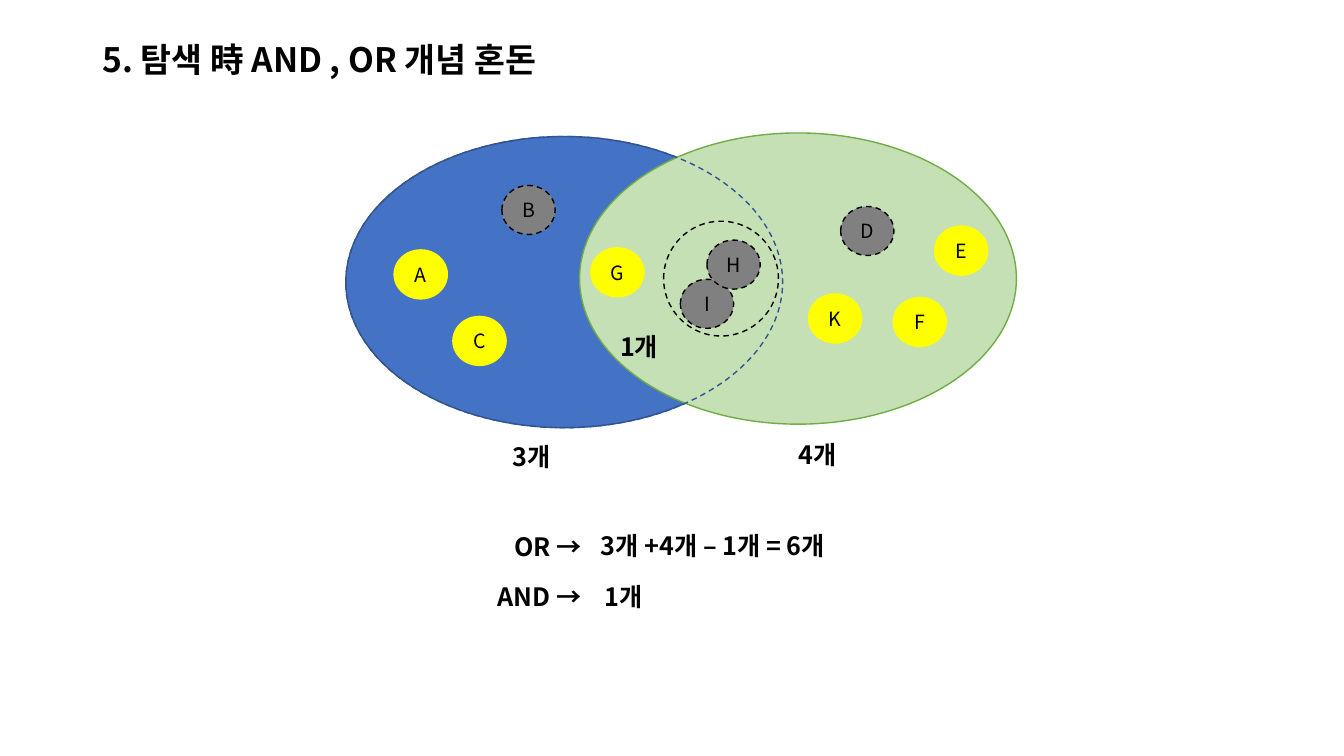
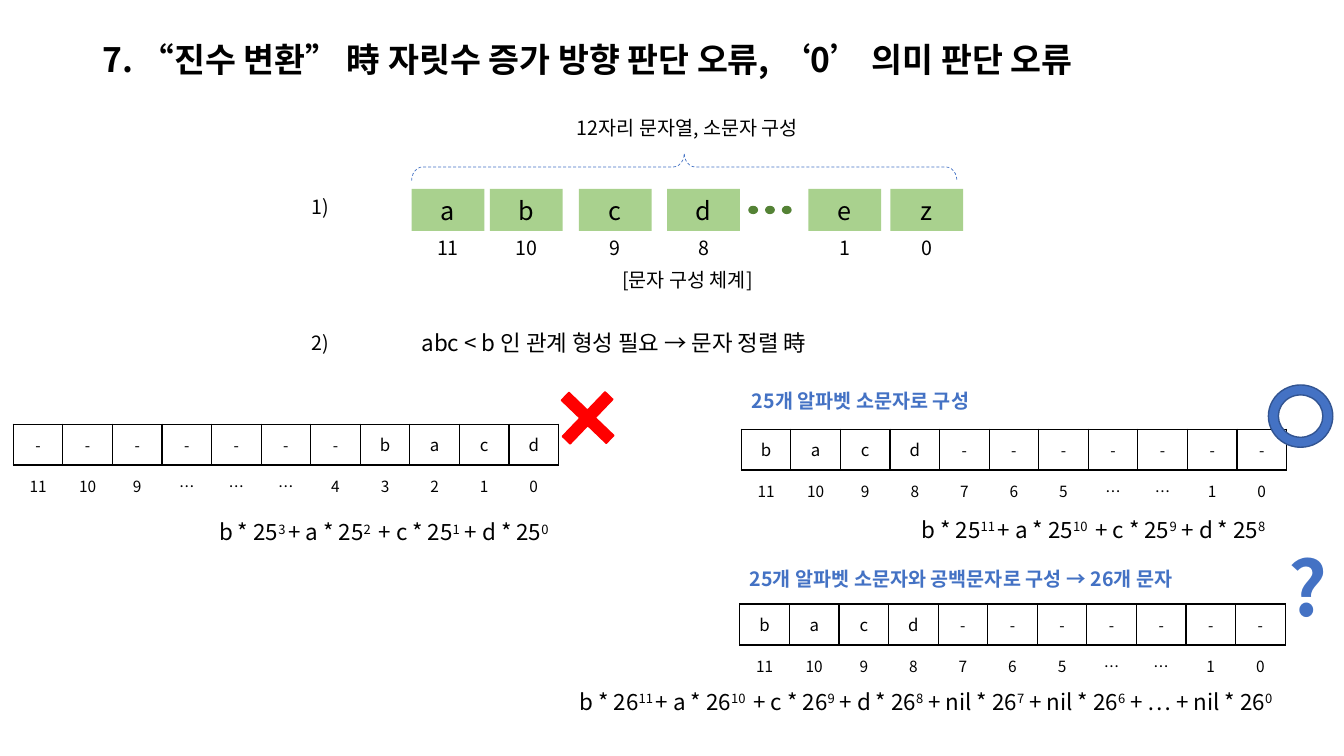
from dataclasses import dataclass
from typing import Optional

from lxml import etree
from pptx import Presentation
from pptx.dml.color import RGBColor
from pptx.enum.dml import MSO_LINE
from pptx.enum.shapes import MSO_SHAPE as SHAPE
from pptx.enum.text import MSO_ANCHOR as ANCHOR, MSO_AUTO_SIZE as AUTO, PP_ALIGN as ALIGN
from pptx.oxml.ns import qn
from pptx.util import Pt

FONT = "Noto Sans CJK KR"
BLACK = RGBColor(0x00, 0x00, 0x00)
BLUE = RGBColor(0x44, 0x72, 0xC4)
NAVY = RGBColor(0x32, 0x54, 0x91)
GREEN = RGBColor(0x70, 0xAD, 0x47)
PALE_GREEN = RGBColor(0xC5, 0xE0, 0xB4)
BOX_GREEN = RGBColor(0xA9, 0xD1, 0x8E)
DARK_GREEN = RGBColor(0x54, 0x82, 0x35)
YELLOW = RGBColor(0xFF, 0xFF, 0x00)
GRAY = RGBColor(0x80, 0x80, 0x80)
RED = RGBColor(0xFF, 0x00, 0x00)


@dataclass
class Box:
    x: float
    y: float
    w: float
    h: float

    def lengths(self) -> list:
        return [Pt(v) for v in (self.x, self.y, self.w, self.h)]


@dataclass
class Element:
    """A member of a set; found ones are yellow, the rest gray and dashed."""
    name: str
    x: float
    y: float
    found: bool = True


@dataclass
class Label:
    text: str
    box: Box
    align: ALIGN = ALIGN.LEFT
    size: float = 14
    bold: bool = False
    color: RGBColor = BLACK


@dataclass
class DigitTable:
    x: float
    y: float
    letters: str
    places: str


# Shared helpers
def write(tf, text: str, *, size: float = 14, bold: bool = False,
          color: RGBColor = BLACK, align: ALIGN = ALIGN.LEFT) -> None:
    """Write one paragraph; parts between ^ marks are superscript."""
    p = tf.paragraphs[0]
    p.alignment = align
    for i, part in enumerate(text.split("^")):
        if not part:
            continue
        r = p.add_run()
        r.text = part
        r.font.size, r.font.bold, r.font.name = Pt(size), bold, FONT
        r.font.color.rgb = color
        rpr = r._r.get_or_add_rPr()
        etree.SubElement(rpr, qn("a:ea"), typeface=FONT)
        if i % 2:
            rpr.set("baseline", "30000")


def add_label(slide, label: Label, anchor: ANCHOR = ANCHOR.MIDDLE) -> None:
    tf = slide.shapes.add_textbox(*label.box.lengths()).text_frame
    tf.word_wrap = True
    tf.vertical_anchor = anchor
    write(tf, label.text, size=label.size, bold=label.bold,
          color=label.color, align=label.align)


def add_figure(slide, kind: SHAPE, box: Box, *, fill: Optional[RGBColor] = None,
               line: Optional[RGBColor] = None, width: float = 1, dash: bool = False,
               text: str = "", size: float = 14, adj: Optional[float] = None,
               rotation: float = 0):
    sp = slide.shapes.add_shape(kind, *box.lengths())
    sp.shadow.inherit = False
    sp.rotation = rotation
    if adj is not None:
        sp.adjustments[0] = adj
    if fill is None:
        sp.fill.background()
    else:
        sp.fill.solid()
        sp.fill.fore_color.rgb = fill
    if line is None:
        sp.line.fill.background()
    else:
        sp.line.color.rgb = line
        sp.line.width = Pt(width)
        if dash:
            sp.line.dash_style = MSO_LINE.DASH
    if text:
        tf = sp.text_frame
        tf.margin_left = tf.margin_right = tf.margin_top = tf.margin_bottom = 0
        tf.vertical_anchor = ANCHOR.MIDDLE
        write(tf, text, size=size, align=ALIGN.CENTER)
    return sp


def add_titled_slide(prs, title: str):
    slide = prs.slides.add_slide(prs.slide_layouts[5])
    sp = slide.shapes.title
    sp.left, sp.top, sp.width, sp.height = Box(66, 16, 828, 56).lengths()
    tf = sp.text_frame
    tf.word_wrap, tf.auto_size, tf.vertical_anchor = True, AUTO.NONE, ANCHOR.MIDDLE
    write(tf, title, size=24, bold=True)
    tf.paragraphs[0].line_spacing = 0.9
    return slide


def set_borders(cell, sides: str) -> None:
    """Draw black lines on the given sides (L, R, T, B) and none elsewhere."""
    tcpr = cell._tc.get_or_add_tcPr()
    for side in "LRTB":
        ln = etree.SubElement(tcpr, qn(f"a:ln{side}"), w=str(Pt(1)))
        if side in sides:
            fill = etree.SubElement(ln, qn("a:solidFill"))
            etree.SubElement(fill, qn("a:srgbClr"), val=str(BLACK))
        else:
            etree.SubElement(ln, qn("a:noFill"))


def add_digit_table(slide, spec_: DigitTable) -> None:
    rows = (list(spec_.letters), spec_.places.split())
    count = len(rows[0])
    box = Box(spec_.x, spec_.y, 389.5, 58.4)
    table = slide.shapes.add_table(2, count, *box.lengths()).table
    table.first_row = table.horz_banding = False
    for column in table.columns:
        column.width = Pt(box.w / count)
    for i, values in enumerate(rows):
        table.rows[i].height = Pt(box.h / 2)
        for j, value in enumerate(values):
            cell = table.cell(i, j)
            set_borders(cell, "T" if i else "LRTB")
            cell.fill.background()
            cell.vertical_anchor = ANCHOR.MIDDLE
            write(cell.text_frame, value, size=12 if value.isalpha() else 11,
                  align=ALIGN.CENTER)


# Slide: AND / OR sets
ELEMENTS = [
    Element("A", 281.5, 178.5), Element("C", 323.5, 226), Element("B", 358.5, 132.5, False),
    Element("D", 600.5, 147.5, False), Element("F", 638, 212.5), Element("E", 667.5, 161.5),
    Element("G", 422, 177), Element("I", 486, 199.5, False),
    Element("H", 505, 171.5, False), Element("K", 577.5, 210),
]
COUNTS = [
    ("3개", Box(348.5, 312, 62.5, 29), ALIGN.CENTER),
    ("4개", Box(553, 310.5, 62.5, 29), ALIGN.CENTER),
    ("1개", Box(428.5, 233, 56, 29), ALIGN.CENTER),
    ("OR →", Box(308, 376, 114.5, 29), ALIGN.RIGHT),
    ("3개 +4개 – 1개 = 6개", Box(422, 375.5, 231, 29), ALIGN.LEFT),
    ("AND →", Box(308, 412, 114.5, 29), ALIGN.RIGHT),
    ("1개", Box(425, 412, 231, 29), ALIGN.LEFT),
]


def build_sets(prs) -> None:
    slide = add_titled_slide(prs, "5. 탐색 時 AND , OR 개념 혼돈")
    left, right = Box(247, 97.5, 312, 208), Box(414, 95, 312, 208)
    add_figure(slide, SHAPE.OVAL, left, fill=BLUE, line=NAVY)
    add_figure(slide, SHAPE.OVAL, right, fill=PALE_GREEN, line=GREEN)
    add_figure(slide, SHAPE.OVAL, left, line=NAVY, dash=True)
    for e in ELEMENTS:
        add_figure(slide, SHAPE.OVAL, Box(e.x, e.y, 38, 35), text=e.name,
                   fill=YELLOW if e.found else GRAY,
                   line=YELLOW if e.found else BLACK, dash=not e.found)
    add_figure(slide, SHAPE.OVAL, Box(474, 158, 82, 82), line=BLACK, dash=True)
    for text, box, align in COUNTS:
        add_label(slide, Label(text, box, align, 18, True), ANCHOR.TOP)


# Slide: base conversion
LETTER_BOXES = [("a", "11", 294), ("b", "10", 350), ("c", "9", 413.5),
                ("d", "8", 476.5), ("e", "1", 577.5), ("z", "0", 636)]
DOWN_PLACES = "11 10 9 8 7 6 5 … … 1 0"
DIGIT_TABLES = [
    DigitTable(529.5, 306.5, "bacd-------", DOWN_PLACES),
    DigitTable(9.5, 303, "-------bacd", "11 10 9 … … … 4 3 2 1 0"),
    DigitTable(528.5, 431.5, "bacd-------", DOWN_PLACES),
]
LABELS = [
    Label("12자리 문자열, 소문자 구성", Box(385, 81.5, 212, 20), ALIGN.CENTER),
    Label("[문자 구성 체계]", Box(385, 189.5, 212, 20), ALIGN.CENTER),
    Label("1)", Box(215.5, 137.5, 36, 20)),
    Label("2)", Box(215.5, 235, 36, 20)),
    Label("abc < b 인 관계 형성 필요 → 문자 정렬 時", Box(294, 230, 372, 30), size=16),
    Label("b * 25^3 ^+ a * 25^2 ^ + c * 25^1^ + d * 25^0 ^",
          Box(29, 365, 372, 30), ALIGN.RIGHT, 16),
    Label("b * 25^11 ^+ a * 25^10 ^ + c * 25^9^ + d * 25^8 ^",
          Box(541, 363, 372, 30), ALIGN.RIGHT, 16),
    Label("b * 26^11 ^+ a * 26^10 ^ + c * 26^9^ + d * 26^8^ + nil * 26^7^"
          " + nil * 26^6^ + … + nil * 26^0 ^",
          Box(290, 486, 628, 30), ALIGN.RIGHT, 16),
    Label("25개 알파벳 소문자로 구성", Box(530, 276.5, 212, 20), bold=True, color=BLUE),
    Label("25개 알파벳 소문자와 공백문자로 구성 → 26개 문자",
          Box(528.5, 403, 352, 20), bold=True, color=BLUE),
    Label("?", Box(913, 404, 36, 30), ALIGN.CENTER, 54, True, BLUE),
]


def build_conversion(prs) -> None:
    slide = add_titled_slide(
        prs, "7. “진수 변환” 時 자릿수 증가 방향 판단 오류, ‘0’ 의미 판단 오류")
    # Letters with their place numbers
    for letter, place, x in LETTER_BOXES:
        add_figure(slide, SHAPE.RECTANGLE, Box(x, 135, 52, 30), fill=BOX_GREEN,
                   text=letter, size=18)
        add_label(slide, Label(place, Box(x + 9, 167, 34, 20), ALIGN.CENTER))
    for i in range(3):
        add_figure(slide, SHAPE.OVAL, Box(535 + 12 * i, 147.5, 6, 5),
                   fill=DARK_GREEN, line=DARK_GREEN)
    add_figure(slide, SHAPE.RIGHT_BRACE, Box(479, -75.5, 19.5, 389.5), line=BLUE,
               width=0.5, dash=True, adj=0.4, rotation=270)
    # Tables, captions and formulas
    for table in DIGIT_TABLES:
        add_digit_table(slide, table)
    for label in LABELS:
        add_label(slide, label)
    # Verdict marks
    add_figure(slide, SHAPE.MATH_PLUS, Box(389.5, 268.5, 60.5, 60), fill=RED,
               line=RED, adj=0.13, rotation=43.8)
    add_figure(slide, SHAPE.DONUT, Box(906, 275, 46, 44.5), fill=BLUE, line=NAVY, adj=0.16)


def main() -> None:
    prs = Presentation()
    prs.slide_width, prs.slide_height = Pt(960), Pt(540)
    build_sets(prs)
    build_conversion(prs)
    prs.save("out.pptx")


if __name__ == "__main__":
    main()
